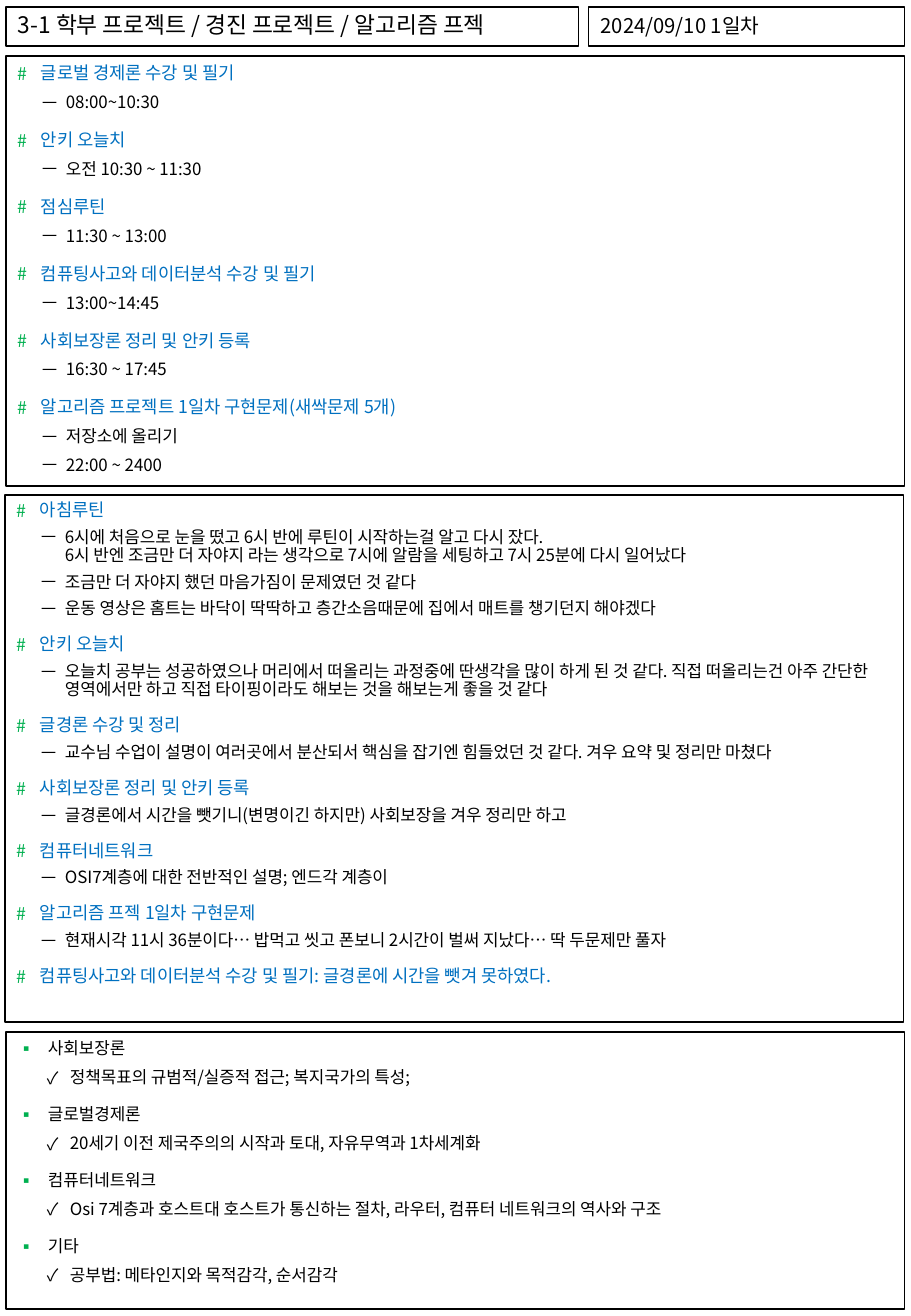
from dataclasses import dataclass

from lxml import etree
from pptx import Presentation
from pptx import util as u
from pptx.dml.color import RGBColor
from pptx.enum import shapes, text
from pptx.oxml.ns import qn

PX = 914400 / 121.5
FACE = "Noto Sans CJK KR"
BLACK, BLUE, GREEN = "000000", "0070C0", "00B050"


@dataclass
class Style:
    size: float
    color: str
    mark: str = ""
    tint: str = BLACK
    left: int = 0
    hang: int = 0
    gap: int = 0


@dataclass
class Topic:
    head: str
    items: tuple[str, ...] = ()


@dataclass
class Panel:
    box: tuple[int, int, int, int]
    head: Style
    item: Style
    lead: float
    topics: list[Topic]


def px(n: int) -> int:
    return round(n * PX)


def rgb(code: str) -> RGBColor:
    return RGBColor.from_string(code)


def add_box(slide, box: tuple[int, int, int, int], mid: bool = False):
    rect = slide.shapes.add_shape(shapes.MSO_SHAPE.RECTANGLE, *map(px, box))
    rect.shadow.inherit = False
    rect.fill.background()
    rect.line.color.rgb = rgb(BLACK)
    rect.line.width = u.Pt(0.75)
    frame = rect.text_frame
    frame.word_wrap = True
    anchor = text.MSO_ANCHOR
    frame.vertical_anchor = anchor.MIDDLE if mid else anchor.TOP
    return frame


def add_mark(para, style: Style) -> None:
    props = para._p.get_or_add_pPr()
    props.set("marL", str(px(style.left)))
    props.set("indent", str(-px(style.hang)))
    tint = etree.SubElement(props, qn("a:buClr"))
    etree.SubElement(tint, qn("a:srgbClr"), val=style.tint)
    etree.SubElement(props, qn("a:buFont"), typeface=FACE)
    etree.SubElement(props, qn("a:buChar"), char=style.mark)


def add_line(frame, words: str, style: Style, lead: float, level: int = 0) -> None:
    first = not frame.text
    para = frame.paragraphs[0] if first else frame.add_paragraph()
    para.text = words
    para.level = level
    para.alignment = text.PP_ALIGN.LEFT
    para.line_spacing = lead
    para.space_before = u.Pt(0 if first else style.gap)
    if style.mark:
        add_mark(para, style)
    font = para.font
    font.size = u.Pt(style.size)
    font.color.rgb = rgb(style.color)
    font.name = FACE
    etree.SubElement(font._element, qn("a:ea"), typeface=FACE)


def add_panel(slide, panel: Panel) -> None:
    frame = add_box(slide, panel.box)
    for topic in panel.topics:
        add_line(frame, topic.head, panel.head, panel.lead)
        for item in topic.items:
            add_line(frame, item, panel.item, panel.lead, 1)


HASH = Style(10.5, BLUE, "#", GREEN, 23, 23, 10)
DASH = Style(10, BLACK, "ￚ", BLACK, 48, 24, 5)
DOT = Style(10, BLACK, "▪", GREEN, 30, 30, 10)
TICK = Style(10, BLACK, "✓", BLACK, 52, 23, 5)

PLAN = Panel((6, 56, 899, 430), HASH, DASH, 1.0, [
    Topic("글로벌 경제론 수강 및 필기", ("08:00~10:30",)),
    Topic("안키 오늘치", ("오전 10:30 ~ 11:30",)),
    Topic("점심루틴", ("11:30 ~ 13:00",)),
    Topic("컴퓨팅사고와 데이터분석 수강 및 필기", ("13:00~14:45",)),
    Topic("사회보장론 정리 및 안키 등록", ("16:30 ~ 17:45",)),
    Topic("알고리즘 프로젝트 1일차 구현문제(새싹문제 5개)",
          ("저장소에 올리기", "22:00 ~ 2400")),
])
REVIEW = Panel((5, 495, 899, 527), HASH, DASH, 0.9, [
    Topic("아침루틴", (
        "6시에 처음으로 눈을 떴고 6시 반에 루틴이 시작하는걸 알고 다시 잤다.\v"
        "6시 반엔 조금만 더 자야지 라는 생각으로 7시에 알람을 세팅하고 7시 25분에 다시 일어났다",
        "조금만 더 자야지 했던 마음가짐이 문제였던 것 같다",
        "운동 영상은 홈트는 바닥이 딱딱하고 층간소음때문에 집에서 매트를 챙기던지 해야겠다")),
    Topic("안키 오늘치", (
        "오늘치 공부는 성공하였으나 머리에서 떠올리는 과정중에 딴생각을 많이 하게 된 것 같다. "
        "직접 떠올리는건 아주 간단한 영역에서만 하고 직접 타이핑이라도 해보는 것을 해보는게 좋을 것 같다",)),
    Topic("글경론 수강 및 정리", (
        "교수님 수업이 설명이 여러곳에서 분산되서 핵심을 잡기엔 힘들었던 것 같다. 겨우 요약 및 정리만 마쳤다",)),
    Topic("사회보장론 정리 및 안키 등록", (
        "글경론에서 시간을 뺏기니(변명이긴 하지만) 사회보장을 겨우 정리만 하고",)),
    Topic("컴퓨터네트워크", ("OSI7계층에 대한 전반적인 설명; 엔드각 계층이",)),
    Topic("알고리즘 프젝 1일차 구현문제", (
        "현재시각 11시 36분이다… 밥먹고 씻고 폰보니 2시간이 벌써 지났다… 딱 두문제만 풀자",)),
    Topic("컴퓨팅사고와 데이터분석 수강 및 필기: 글경론에 시간을 뺏겨 못하였다."),
])
NOTES = Panel((6, 1032, 899, 277), DOT, TICK, 1.0, [
    Topic("사회보장론", ("정책목표의 규범적/실증적 접근; 복지국가의 특성;",)),
    Topic("글로벌경제론", ("20세기 이전 제국주의의 시작과 토대, 자유무역과 1차세계화",)),
    Topic("컴퓨터네트워크", (
        "Osi 7계층과 호스트대 호스트가 통신하는 절차, 라우터, 컴퓨터 네트워크의 역사와 구조",)),
    Topic("기타", ("공부법: 메타인지와 목적감각, 순서감각",)),
])


def main() -> None:
    deck = Presentation()
    deck.slide_width = u.Inches(7.5)
    deck.slide_height = u.Inches(10.83)
    slide = deck.slides.add_slide(deck.slide_layouts[6])

    # Title and date
    title = add_box(slide, (6, 7, 573, 39), True)
    add_line(title, "3-1 학부 프로젝트 / 경진 프로젝트 / 알고리즘 프젝",
             Style(13.5, BLACK), 0.9)
    date = add_box(slide, (589, 7, 316, 39), True)
    add_line(date, "2024/09/10 1일차", Style(12, BLACK), 0.9)

    # Plan, review and study notes
    for panel in (PLAN, REVIEW, NOTES):
        add_panel(slide, panel)

    deck.save("out.pptx")


if __name__ == "__main__":
    main()
